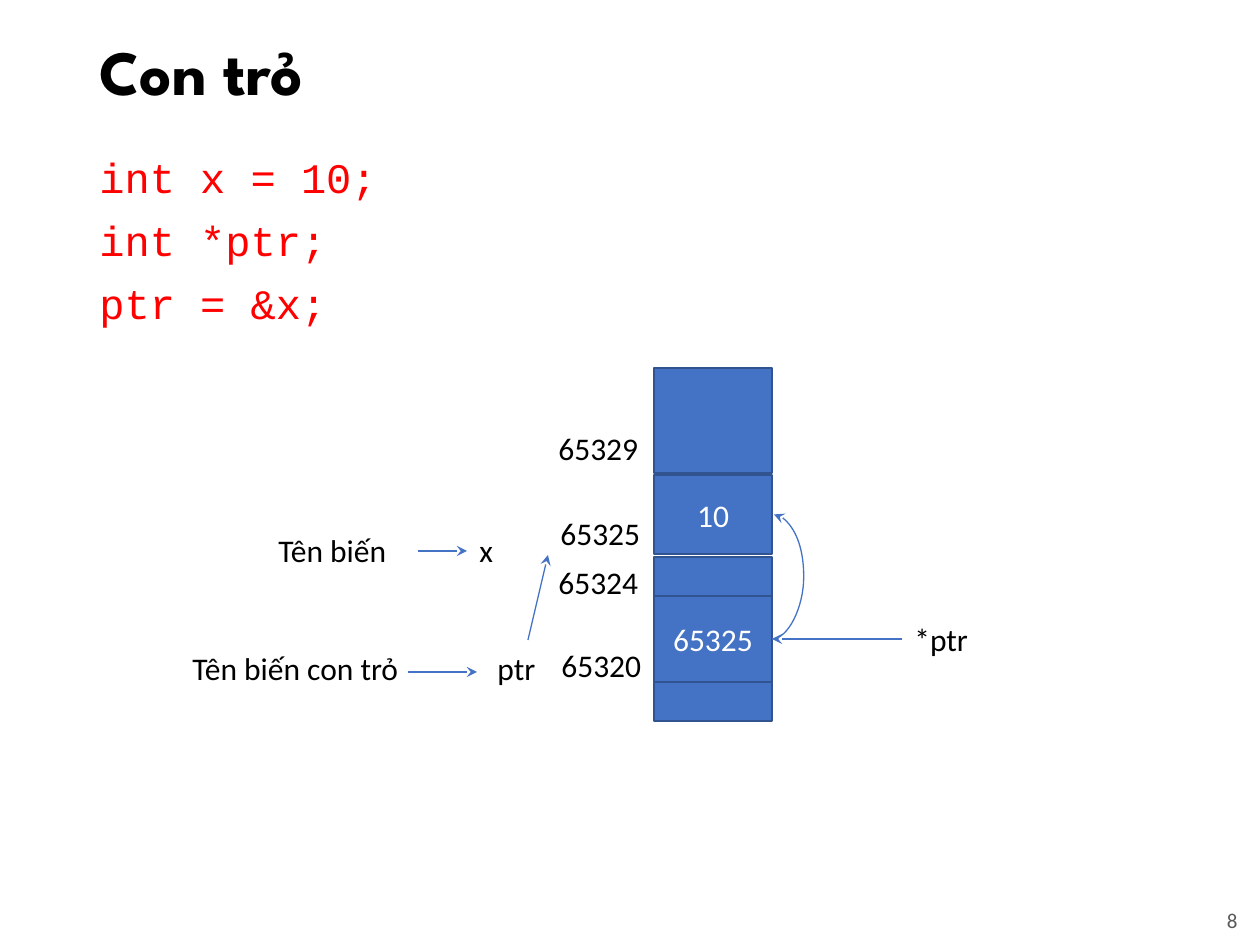
from lxml import etree
from pptx import Presentation
from pptx.dml.color import RGBColor
from pptx.enum.shapes import MSO_CONNECTOR as CXN, MSO_SHAPE as SHAPE
from pptx.enum.text import MSO_ANCHOR as ANCHOR, PP_ALIGN as ALIGN
from pptx.oxml.ns import qn
from pptx.util import Pt

SCALE = 914400 / 126
BLACK = RGBColor(0x00, 0x00, 0x00)
WHITE = RGBColor(0xFF, 0xFF, 0xFF)
RED = RGBColor(0xFF, 0x00, 0x00)
GREY = RGBColor(0x59, 0x59, 0x59)
BLUE = RGBColor(0x44, 0x72, 0xC4)
NAVY = RGBColor(0x31, 0x53, 0x8F)

TITLE = dict(name="League Spartan", size=Pt(36), bold=True)
CODE = dict(name="Courier New", size=Pt(24))
BODY = dict(name="Calibri", size=Pt(18))
NUMBER = dict(name="Calibri", size=Pt(12))


def px(n):
    return round(n * SCALE)


def write(tf, lines, font, color, anchor=ANCHOR.TOP, **para):
    tf.word_wrap = True
    tf.vertical_anchor = anchor
    for i, line in enumerate(lines):
        p = tf.add_paragraph() if i else tf.paragraphs[0]
        for key, value in para.items():
            setattr(p, key, value)
        if i:
            p.space_before = Pt(10)
        r = p.add_run()
        r.text = line
        for key, value in font.items():
            setattr(r.font, key, value)
        r.font.color.rgb = color


def add_text(s, box, lines, font, color=BLACK, **fmt):
    sp = s.shapes.add_textbox(*map(px, box))
    write(sp.text_frame, lines, font, color, **fmt)


def add_arrow(s, start, end, kind=CXN.STRAIGHT):
    cxn = s.shapes.add_connector(kind, *map(px, start + end))
    cxn.line.color.rgb = BLUE
    cxn.line.width = Pt(0.75)
    etree.SubElement(cxn.line._get_or_add_ln(), qn("a:tailEnd"), type="stealth")
    etree.SubElement(cxn._element.spPr, qn("a:effectLst"))
    return cxn


def add_memory(s, x, y, w):
    cells = [(0, 105, ""), (107, 79, "10"), (189, 39, ""),
             (228, 86, "65325"), (314, 39, "")]
    rects = []
    for top, h, text in cells:
        sp = s.shapes.add_shape(SHAPE.RECTANGLE, *map(px, (x, y + top, w, h)))
        sp.shadow.inherit = False
        sp.fill.solid()
        sp.fill.fore_color.rgb = BLUE
        sp.line.color.rgb = NAVY
        sp.line.width = Pt(1)
        if text:
            write(sp.text_frame, [text], BODY, WHITE, ANCHOR.MIDDLE,
                  alignment=ALIGN.CENTER)
        rects.append(sp)
    return rects


def add_addresses(s, x, y):
    for dx, dy, text in [(0, 0, "65329"), (2, 85, "65325"),
                         (0, 134, "65324"), (3, 217, "65320")]:
        add_text(s, (x + dx, y + dy, 106, 50), [text], BODY)


def add_names(s, x, y):
    for dx, dy, w, text in [(86, 0, 151, "Tên biến"), (287, 0, 40, "x"),
                            (0, 118, 248, "Tên biến con trỏ"),
                            (305, 118, 79, "ptr")]:
        add_text(s, (x + dx, y + dy, w, 50), [text], BODY)
    for x1, y1, x2, y2 in [(238, 26, 287, 26), (228, 147, 297, 147),
                           (348, 115, 368, 30)]:
        add_arrow(s, (x + x1, y + y1), (x + x2, y + y2))


def add_pointer(s, x, y, target, holder):
    add_text(s, (x, y, 98, 50), ["*ptr"], BODY)
    cxn = add_arrow(s, (x, y + 25), (x - 130, y + 25))
    cxn.end_connect(holder, 3)
    curve = add_arrow(s, (x - 130, y + 25), (x - 130, y - 99), CXN.CURVE)
    curve.begin_connect(holder, 3)
    curve.end_connect(target, 3)
    curve.width = px(2)
    geom = curve._element.spPr.find(qn("a:prstGeom"))
    av = geom.find(qn("a:avLst"))
    if av is None:
        av = etree.SubElement(geom, qn("a:avLst"))
    etree.SubElement(av, qn("a:gd"), name="adj1", fmla="val 1600000")


def main():
    prs = Presentation()
    prs.slide_width, prs.slide_height = px(1260), px(945)
    s = prs.slides.add_slide(prs.slide_layouts[6])
    add_text(s, (87, 20, 1086, 110), ["Con trỏ"], TITLE,
             anchor=ANCHOR.MIDDLE, line_spacing=0.9)
    add_text(s, (87, 151, 1086, 687), ["int x = 10;", "int *ptr;", "ptr = &x;"],
             CODE, RED, line_spacing=0.9)
    add_text(s, (1092, 895, 158, 50), ["8"], NUMBER, GREY,
             anchor=ANCHOR.MIDDLE, alignment=ALIGN.RIGHT)
    rects = add_memory(s, 654, 368, 118)
    add_addresses(s, 546, 423)
    add_names(s, 180, 525)
    add_pointer(s, 902, 614, rects[1], rects[3])
    prs.save("out.pptx")


if __name__ == "__main__":
    main()
